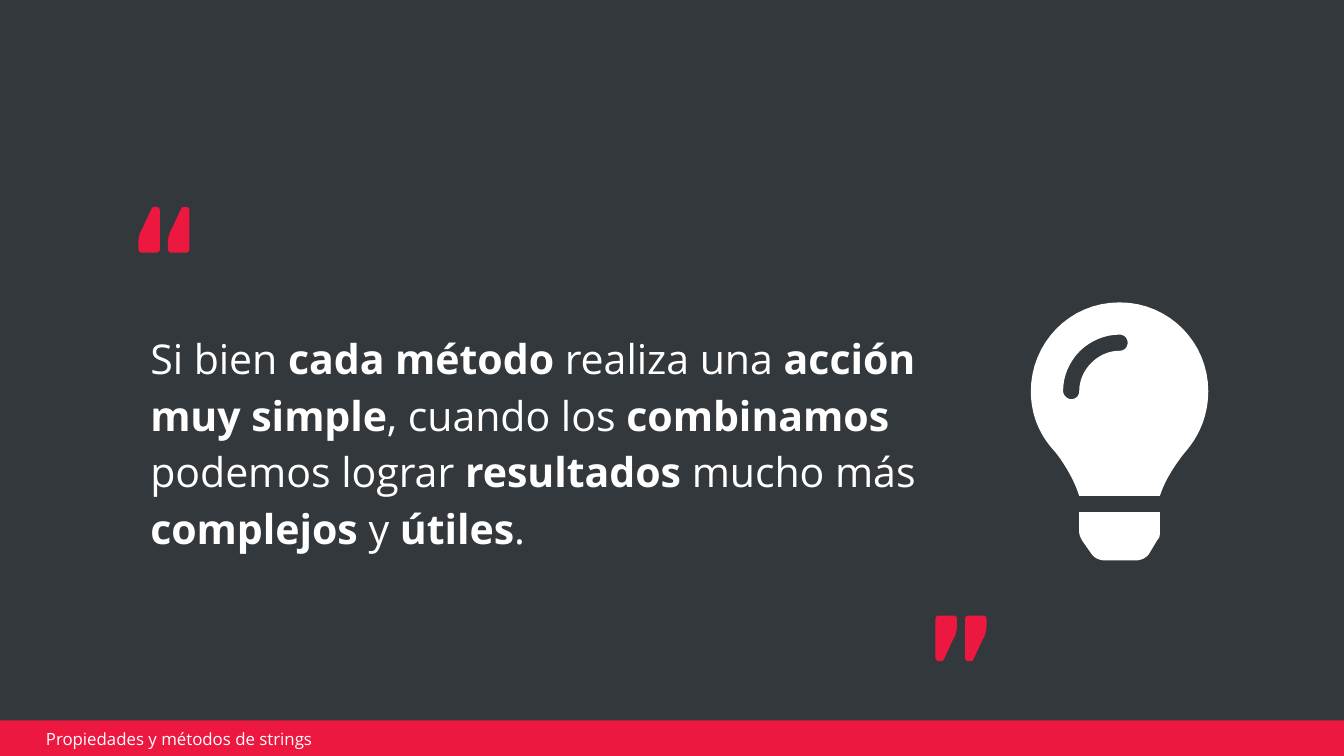
import dataclasses
import typing

import pptx
import pptx.dml.color
import pptx.enum.shapes
import pptx.enum.text
import pptx.util

Inches = pptx.util.Inches
Point = tuple[float, float]

COLORS = {"background": "33383C", "accent": "EC183F", "white": "FFFFFF"}
FONT = "Open Sans"


@dataclasses.dataclass
class QuoteMark:
    left: float
    top: float
    rotation: int


@dataclasses.dataclass
class Contour:
    """A start point, then steps of one point (line) or three points (curve)."""
    start: Point
    steps: list[tuple[Point, ...]]


QUOTE_MARKS = [
    QuoteMark(1.03, 1.54, 0), QuoteMark(1.25, 1.54, 0),
    QuoteMark(6.96, 4.58, 180), QuoteMark(7.18, 4.58, 180),
]

QUOTE_OUTLINE = Contour((0.13, 0), [
    ((0.11, 0), (0.11, 0), (0.1, 0.01)),
    ((0.03, 0.16),),
    ((0.01, 0.19), (0, 0.23), (0, 0.27)),
    ((0, 0.31),),
    ((0, 0.33), (0.01, 0.34), (0.03, 0.34)),
    ((0.13, 0.34),),
    ((0.15, 0.34), (0.16, 0.33), (0.16, 0.31)),
    ((0.16, 0.03),),
    ((0.16, 0.01), (0.15, 0), (0.13, 0)),
])

BULB = [
    # Base
    Contour((8.03, 3.96), [
        ((8.03, 3.98), (8.04, 4), (8.05, 4.02)),
        ((8.12, 4.12),),
        ((8.14, 4.15), (8.18, 4.17), (8.22, 4.17)),
        ((8.45, 4.17),),
        ((8.49, 4.17), (8.53, 4.15), (8.55, 4.12)),
        ((8.61, 4.02),),
        ((8.63, 4), (8.63, 3.98), (8.63, 3.96)),
        ((8.63, 3.81),),
        ((8.03, 3.81),),
    ]),
    # Glass
    Contour((7.67, 2.91), [
        ((7.67, 3.08), (7.73, 3.23), (7.84, 3.35)),
        ((7.9, 3.42), (7.99, 3.56), (8.03, 3.69)),
        ((8.63, 3.69),),
        ((8.67, 3.56), (8.77, 3.42), (8.83, 3.35)),
        ((8.93, 3.23), (8.99, 3.08), (8.99, 2.91)),
        ((8.99, 2.55), (8.7, 2.25), (8.33, 2.25)),
        ((7.95, 2.25), (7.67, 2.56), (7.67, 2.91)),
    ]),
    # Highlight cut out of the glass
    Contour((8.33, 2.61), [
        ((8.17, 2.61), (8.03, 2.75), (8.03, 2.91)),
        ((8.03, 2.94), (8.01, 2.97), (7.97, 2.97)),
        ((7.94, 2.97), (7.91, 2.94), (7.91, 2.91)),
        ((7.91, 2.68), (8.1, 2.49), (8.33, 2.49)),
        ((8.37, 2.49), (8.39, 2.52), (8.39, 2.55)),
        ((8.39, 2.58), (8.37, 2.61), (8.33, 2.61)),
    ]),
]

QUOTE_SPANS = [
    ("Si bien ", False), ("cada método", True), (" realiza una ", False),
    ("acción muy simple", True), (", cuando los ", False),
    ("combinamos", True), (" podemos lograr ", False),
    ("resultados", True), (" mucho más ", False), ("complejos", True),
    (" y ", False), ("útiles", True), (".", False),
]


def rgb(name: str) -> pptx.dml.color.RGBColor:
    return pptx.dml.color.RGBColor.from_string(COLORS[name])


def paint(shape: typing.Any, color: str) -> None:
    shape.fill.solid()
    shape.fill.fore_color.rgb = rgb(color)
    shape.line.fill.background()
    shape.shadow.inherit = False


def flatten(contour: Contour, samples: int = 16) -> list[Point]:
    """Turn the contour's curves into short straight segments."""
    points = [contour.start]
    for step in contour.steps:
        if len(step) == 1:
            points.append(step[0])
            continue
        controls = (points[-1], *step)
        for index in range(1, samples + 1):
            t = index / samples
            weights = ((1 - t) ** 3, 3 * t * (1 - t) ** 2,
                       3 * t ** 2 * (1 - t), t ** 3)
            x, y = (sum(weight * control[axis]
                        for weight, control in zip(weights, controls))
                    for axis in (0, 1))
            points.append((x, y))
    return points


def add_outline(page: typing.Any, contours: list[Contour], color: str,
                left: float = 0, top: float = 0, rotation: int = 0) -> None:
    builder = None
    for contour in contours:
        points = [(Inches(left + x), Inches(top + y)) for x, y in flatten(contour)]
        if builder is None:
            builder = page.shapes.build_freeform(*points[0])
        else:
            builder.move_to(*points[0])
        builder.add_line_segments(points[1:], close=True)
    shape = builder.convert_to_shape()
    shape.rotation = rotation
    paint(shape, color)


def add_text(page: typing.Any, spans: list[tuple[str, bool]], *,
             at: tuple[float, float, float, float], size: float,
             insets: Point = (0.1, 0.05), align: str = "LEFT",
             line_spacing: float = 1, space_before: float = 0) -> None:
    box = page.shapes.add_textbox(*map(Inches, at))
    frame = box.text_frame
    frame.word_wrap = True
    frame.vertical_anchor = pptx.enum.text.MSO_ANCHOR.MIDDLE
    frame.margin_left = frame.margin_right = Inches(insets[0])
    frame.margin_top = frame.margin_bottom = Inches(insets[1])
    para = frame.paragraphs[0]
    para.alignment = pptx.enum.text.PP_ALIGN[align]
    para.line_spacing = line_spacing
    para.space_before = pptx.util.Pt(space_before)
    for text, bold in spans:
        span = para.add_run()
        span.text = text
        span.font.name = FONT
        span.font.size = pptx.util.Pt(size)
        span.font.bold = bold
        span.font.color.rgb = rgb("white")


def main() -> None:
    deck = pptx.Presentation()
    deck.slide_width, deck.slide_height = Inches(10), Inches(10 * 9 / 16)
    page = deck.slides.add_slide(deck.slide_layouts.get_by_name("Blank"))
    page.background.fill.solid()
    page.background.fill.fore_color.rgb = rgb("background")

    add_text(page, QUOTE_SPANS, at=(1.02, 2.16, 6.6, 2.22), size=22,
             line_spacing=1.15, space_before=6)
    add_outline(page, BULB, "white")
    for mark in QUOTE_MARKS:
        add_outline(page, [QUOTE_OUTLINE], "accent",
                    mark.left, mark.top, mark.rotation)

    footer = page.shapes.add_shape(
        pptx.enum.shapes.MSO_SHAPE.RECTANGLE,
        Inches(-0.02), Inches(5.36), Inches(10.03), Inches(0.27))
    paint(footer, "accent")
    add_text(page, [("Propiedades y métodos de strings", False)],
             at=(-0.8, 5.42, 3.17, 0.15), size=9, insets=(0.05, 0.02),
             align="RIGHT")
    deck.save("out.pptx")


if __name__ == "__main__":
    main()
